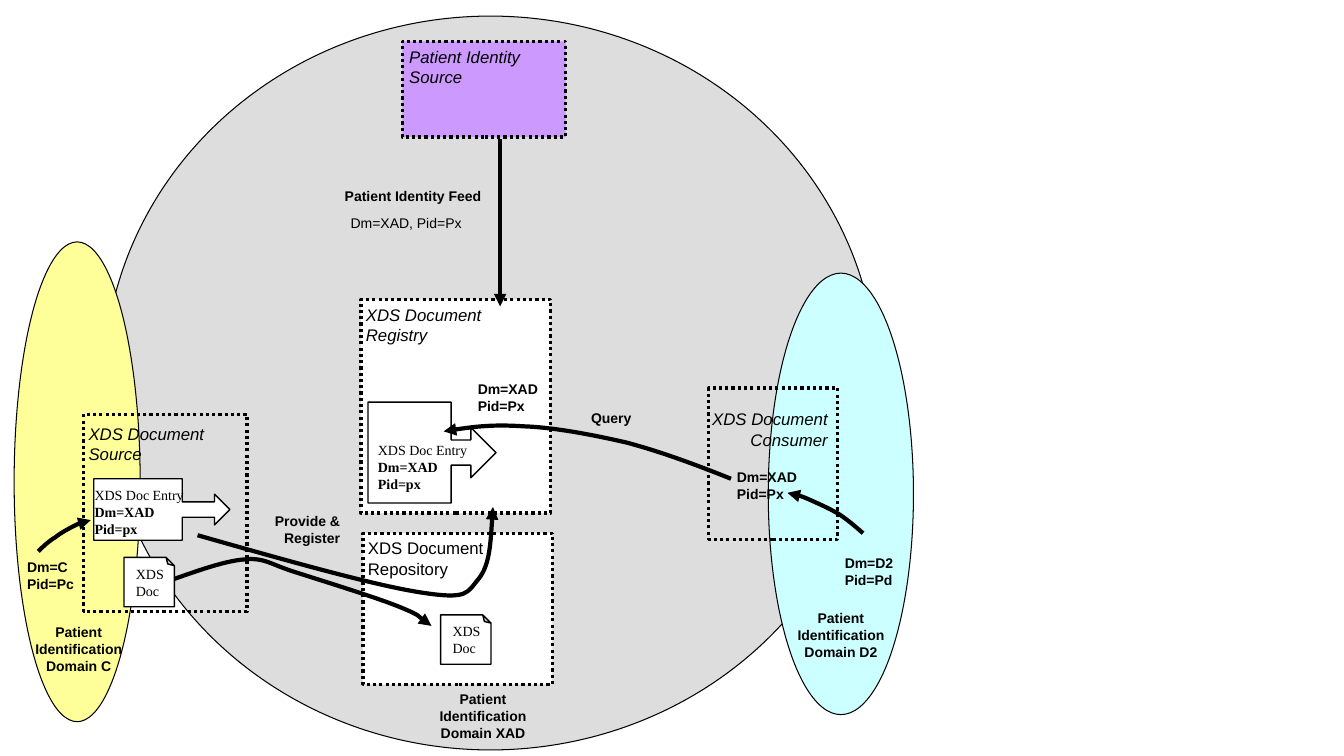
from lxml.etree import SubElement
from pptx import Presentation
from pptx.dml.color import RGBColor
from pptx.enum.dml import MSO_LINE
from pptx.enum.shapes import MSO_CONNECTOR, MSO_SHAPE
from pptx.enum.text import PP_ALIGN
from pptx.oxml.ns import qn
from pptx.util import Inches, Pt

BLACK, WHITE = "000000", "FFFFFF"
LABEL = {"name": "Arial", "size": Pt(10), "bold": True}
DETAIL = {"name": "Arial", "size": Pt(10)}
ACTOR = {"name": "Arial", "size": Pt(12), "italic": True}
PLAIN_ACTOR = {"name": "Arial", "size": Pt(12)}
RECORD = {"name": "Times New Roman", "size": Pt(10)}
RECORD_ID = {**RECORD, "bold": True}


def color(hex_code):
    return RGBColor.from_string(hex_code)


def add_outline(part, width):
    part.line.color.rgb = color(BLACK)
    part.line.width = Pt(width)


def add_part(slide, preset, box, fill=None, width=1.0):
    part = slide.shapes.add_shape(preset, *map(Inches, box))
    part.shadow.inherit = False
    if fill:
        part.fill.solid()
        part.fill.fore_color.rgb = color(fill)
    else:
        part.fill.background()
    add_outline(part, width)
    return part


def add_text(slide, box, lines, align=PP_ALIGN.LEFT):
    """Write (text, format) pairs, one paragraph each."""
    frame = slide.shapes.add_textbox(*map(Inches, box)).text_frame
    frame.word_wrap = True
    for index, (text, style) in enumerate(lines):
        paragraph = frame.add_paragraph() if index else frame.paragraphs[0]
        paragraph.alignment = align
        run = paragraph.add_run()
        run.text = text
        for attribute, value in style.items():
            setattr(run.font, attribute, value)
        run.font.color.rgb = color(BLACK)


def add_arrowhead(part):
    outline = part.element.spPr.find(qn("a:ln"))
    SubElement(outline, qn("a:tailEnd"), type="triangle")


# Identification domain: ellipse with its name
def add_domain(slide, box, fill, name, label_dx, label_dy):
    left, top = box[:2]
    add_part(slide, MSO_SHAPE.OVAL, box, fill, 0.75)
    add_text(slide, (left + label_dx, top + label_dy, 1.28, 0.6),
             [(f"Patient Identification Domain {name}", LABEL)], PP_ALIGN.CENTER)


# Actor: dotted box with its title
def add_actor(slide, box, fill, title, title_dx=-0.05, title_dy=0,
              style=ACTOR, align=PP_ALIGN.LEFT):
    left, top = box[:2]
    frame = add_part(slide, MSO_SHAPE.RECTANGLE, box, fill, 2.25)
    frame.line.dash_style = MSO_LINE.ROUND_DOT
    add_text(slide, (left + title_dx, top + title_dy, 1.38, 0.5),
             [(title, style)], align)


# Document entry: arrow callout with its identifiers
def add_entry(slide, box, fill, text_dx, text_dy):
    left, top = box[:2]
    add_part(slide, MSO_SHAPE.RIGHT_ARROW_CALLOUT, box, fill)
    add_text(slide, (left + text_dx, top + text_dy, 1.4, 0.61),
             [("XDS Doc Entry", RECORD), ("Dm=XAD", RECORD_ID), ("Pid=px", RECORD_ID)])


# Document: page with a folded top corner
def add_document(slide, left, top):
    page = add_part(slide, MSO_SHAPE.FOLDED_CORNER, (left, top, 0.5, 0.49), WHITE)
    page.element.spPr.find(qn("a:xfrm")).set("flipV", "1")
    add_text(slide, (left + 0.02, top + 0.03, 0.53, 0.44), [("XDS Doc", RECORD)])


# Flow: curved arrow; after the start, each three points make one Bezier segment
def add_flow(slide, points):
    corners = [tuple(map(Inches, point)) for point in points]
    builder = slide.shapes.build_freeform(*corners[0])
    builder.add_line_segments(corners[1:], close=False)
    flow = builder.convert_to_shape()
    flow.shadow.inherit = False
    flow.fill.background()
    add_outline(flow, 3)
    add_arrowhead(flow)
    outline = next(flow.element.iter(qn("a:path")))
    segments = outline.findall(qn("a:lnTo"))
    for start in range(0, len(segments), 3):
        curve = SubElement(outline, qn("a:cubicBezTo"))
        for segment in segments[start:start + 3]:
            curve.append(segment[0])
            outline.remove(segment)


# Identity feed: straight arrow with its two captions
def add_feed(slide, x, top, bottom):
    feed = slide.shapes.add_connector(
        MSO_CONNECTOR.STRAIGHT, *map(Inches, (x, top, x, bottom)))
    add_outline(feed, 3)
    add_arrowhead(feed)
    SubElement(feed.element.spPr, qn("a:effectLst"))
    add_text(slide, (x - 2.09, top + 0.43, 2, 0.27),
             [("Patient Identity Feed", LABEL)], PP_ALIGN.RIGHT)
    add_text(slide, (x - 1.58, top + 0.7, 1.4, 0.27), [("Dm=XAD, Pid=Px", DETAIL)])


def add_identifier(slide, left, top, domain, patient):
    add_text(slide, (left, top, 0.95, 0.43),
             [(f"Dm={domain}", LABEL), (f"Pid={patient}", LABEL)])


def main():
    deck = Presentation()
    deck.slide_width, deck.slide_height = Inches(13.33), Inches(7.5)
    slide = deck.slides.add_slide(deck.slide_layouts[6])

    # Domains
    add_domain(slide, (1.03, 0.16, 7.67, 7.28), "DDDDDD", "XAD", 3.12, 6.64)
    add_domain(slide, (7.62, 2.71, 1.44, 4.38), "CCFFFF", "D2", 0.08, 3.29)
    add_domain(slide, (0.14, 2.4, 1.25, 4.76), "FFFF99", "C", 0, 3.74)

    # Actors
    add_actor(slide, (3.99, 0.41, 1.62, 0.95), "CC99FF", "Patient Identity Source", -0.03)
    add_actor(slide, (3.58, 2.97, 1.88, 2.12), WHITE, "XDS Document Registry")
    add_actor(slide, (3.6, 5.29, 1.88, 1.5), WHITE, "XDS Document Repository",
              style=PLAIN_ACTOR)
    add_actor(slide, (0.83, 4.11, 1.62, 1.96), None, "XDS Document Source", title_dy=0.04)
    add_actor(slide, (7.03, 3.85, 1.28, 1.5), None, "XDS Document Consumer",
              -0.1, 0.16, align=PP_ALIGN.RIGHT)

    # Flows
    add_feed(slide, 4.96, 1.38, 3.04)
    flows = [
        # Source to registry
        [(1.96, 5.31), (2.84, 5.56), (3.72, 5.81), (4.19, 5.88), (4.65, 5.95),
         (4.63, 5.88), (4.75, 5.74), (4.86, 5.6), (4.87, 5.31), (4.89, 5.03)],
        # Source to repository
        [(1.71, 5.75), (1.83, 5.71), (2.22, 5.56), (2.43, 5.55), (2.63, 5.53),
         (2.68, 5.6), (2.94, 5.68), (3.19, 5.76), (3.74, 5.93), (3.96, 6.02),
         (4.18, 6.11), (4.21, 6.17), (4.28, 6.21)],
        # Consumer to registry
        [(7.25, 4.75), (6.9, 4.61), (6.55, 4.48), (6.21, 4.39), (5.86, 4.31),
         (5.49, 4.24), (5.19, 4.23), (4.89, 4.21), (4.64, 4.24), (4.4, 4.28)],
        # Domain D2 to consumer
        [(8.56, 5.29), (8.48, 5.22), (8.41, 5.16), (8.32, 5.1), (8.22, 5.04),
         (8.08, 4.98), (7.99, 4.94), (7.91, 4.91), (7.86, 4.9), (7.81, 4.89)],
        # Domain C to source
        [(0.38, 5.47), (0.43, 5.42), (0.48, 5.37), (0.55, 5.33), (0.61, 5.28),
         (0.71, 5.23), (0.77, 5.2), (0.83, 5.17), (0.87, 5.17), (0.9, 5.16)],
    ]
    for points in flows:
        add_flow(slide, points)
    add_text(slide, (2.49, 5.04, 0.98, 0.43), [("Provide & Register", LABEL)], PP_ALIGN.RIGHT)
    add_text(slide, (5.66, 4.01, 0.7, 0.27), [("Query", LABEL)], PP_ALIGN.RIGHT)

    # Entries and documents
    add_entry(slide, (0.93, 4.75, 1.35, 0.61), WHITE, -0.09, 0.03)
    add_entry(slide, (3.65, 3.99, 1.27, 1), None, 0, 0.34)
    for left, top in [(4.37, 6.1), (1.23, 5.53)]:
        add_document(slide, left, top)

    # Identifiers by domain
    for identifier in [(4.64, 3.73, "XAD", "Px"), (7.21, 4.6, "XAD", "Px"),
                       (8.28, 5.45, "D2", "Pd"), (0.17, 5.49, "C", "Pc")]:
        add_identifier(slide, *identifier)

    deck.save("out.pptx")


if __name__ == "__main__":
    main()
